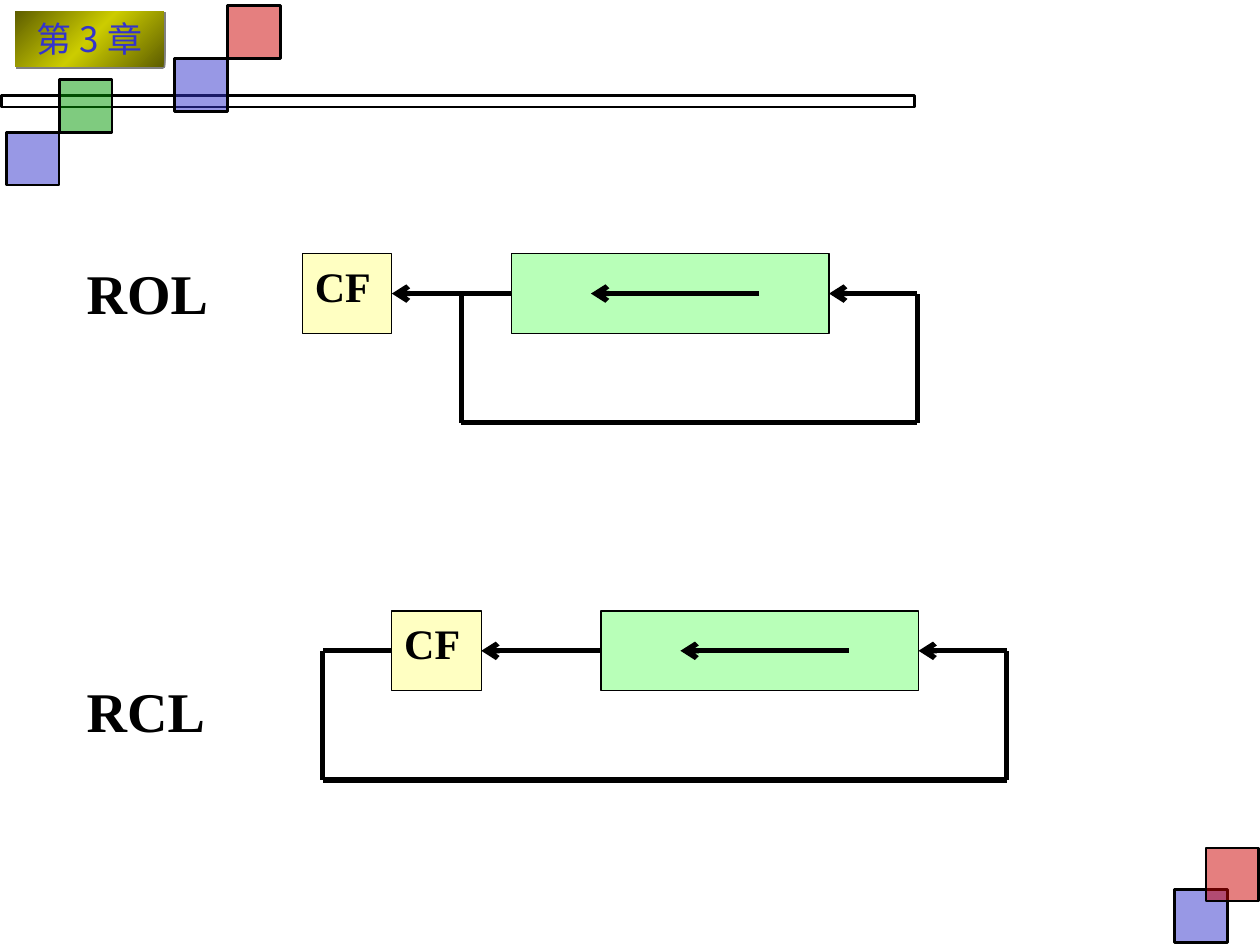
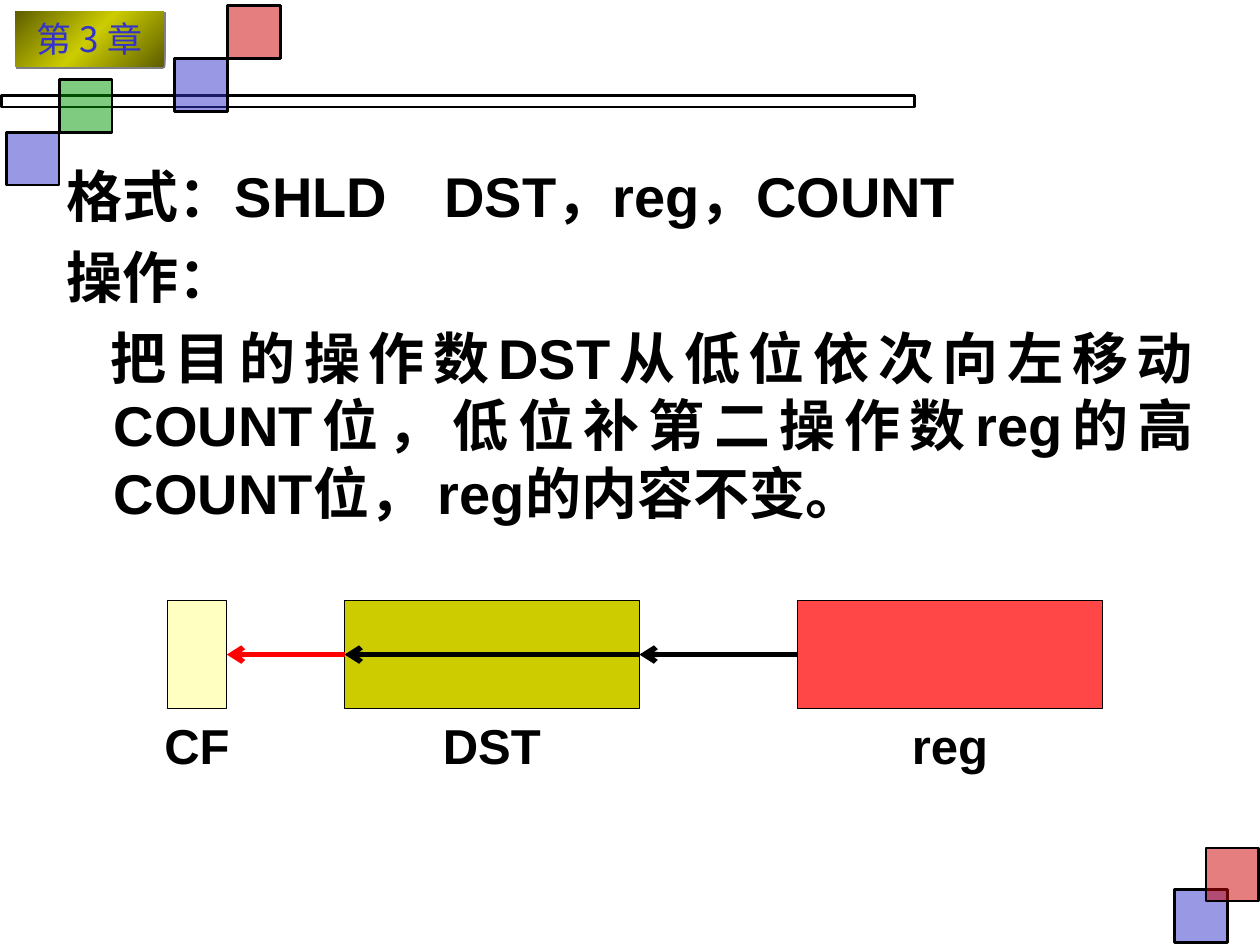
from copy import deepcopy
from dataclasses import dataclass
from typing import NamedTuple, Optional, Union

from lxml.etree import SubElement
from pptx import Presentation
from pptx.dml.color import RGBColor
from pptx.enum.shapes import MSO_CONNECTOR, MSO_SHAPE
from pptx.enum.text import MSO_ANCHOR, PP_ALIGN
from pptx.oxml.ns import qn
from pptx.shapes.autoshape import Shape
from pptx.slide import Slide
from pptx.util import Inches, Pt

COLUMNS, ROWS = 100, 75
SLIDE_WIDTH, SLIDE_HEIGHT = Inches(10), Inches(7.5)
LEFT_SIDE, RIGHT_SIDE = 1, 3


@dataclass(frozen=True)
class Theme:
    """Colours, fonts and sizes used across the deck."""

    ink: str = "000000"
    blue: str = "3333CC"
    red: str = "CC0000"
    green: str = "009900"
    gold: str = "CCCC00"
    dark_gold: str = "5E5E00"
    shadow: str = "808080"
    flag: str = "FFFFC2"
    rotated: str = "B8FFB8"
    source: str = "FF4747"
    carry: str = "FF0000"
    serif: str = "Times New Roman"
    sans: str = "Arial"
    chinese: str = "Noto Sans CJK JP"
    badge_size: int = 20
    flag_size: int = 24
    label_size: int = 28
    text_size: int = 32
    thin: float = 0.75
    frame: float = 1.5
    wire: float = 3


THEME = Theme()


class Area(NamedTuple):
    """A rectangle in grid columns and rows."""

    left: float
    top: float
    width: float
    height: float


class Spot(NamedTuple):
    """A point in grid columns and rows."""

    column: float
    row: float


class Joint(NamedTuple):
    """The middle of one side of a box."""

    box: Shape
    side: int


@dataclass(frozen=True)
class TextStyle:
    """Type settings of a paragraph."""

    font: str
    size: int
    color: str = THEME.ink
    bold: bool = True
    align: PP_ALIGN = PP_ALIGN.LEFT


@dataclass(frozen=True)
class Square:
    """A translucent corner square."""

    column: float
    row: float
    color: str


@dataclass(frozen=True)
class Rotation:
    """A rotate instruction and the place of its diagram."""

    name: str
    name_row: float
    flag_column: float
    row: float
    loop_column: float


@dataclass(frozen=True)
class Register:
    """A labelled register box."""

    name: str
    column: float
    width: float
    color: str


SQUARE_SIZE = 4.2
SQUARES = (
    Square(93.2, 70.6, THEME.blue),
    Square(95.7, 67.3, THEME.red),
    Square(13.85, 4.65, THEME.blue),
    Square(0.5, 10.5, THEME.blue),
    Square(4.7, 6.3, THEME.green),
    Square(18.05, 0.45, THEME.red),
)
ROTATIONS = (
    Rotation("ROL", 20, 24, 20.15, 36.6),
    Rotation("RCL", 53.2, 31.1, 48.5, 25.6),
)
REGISTERS = (
    Register("CF", 13.3, 4.7, THEME.flag),
    Register("DST", 27.35, 23.4, THEME.gold),
    Register("reg", 63.3, 24.2, THEME.source),
)
BADGE_STYLE = TextStyle(THEME.chinese, THEME.badge_size, THEME.blue, False, PP_ALIGN.CENTER)
FLAG_STYLE = TextStyle(THEME.serif, THEME.flag_size)
NAME_STYLE = TextStyle(THEME.serif, THEME.text_size)
LABEL_STYLE = TextStyle(THEME.sans, THEME.label_size)
BODY_STYLE = TextStyle(THEME.sans, THEME.text_size, align=PP_ALIGN.JUSTIFY)


def across(columns: float) -> int:
    """Turn grid columns into a length."""
    return round(SLIDE_WIDTH * columns / COLUMNS)


def down(rows: float) -> int:
    """Turn grid rows into a length."""
    return round(SLIDE_HEIGHT * rows / ROWS)


def place(area: Area) -> tuple[int, int, int, int]:
    """Turn a grid area into left, top, width and height."""
    return across(area.left), down(area.top), across(area.width), down(area.height)


def style_paragraph(para, style: TextStyle, tabs: tuple = ()) -> None:
    """Apply tab stops and type settings to a paragraph."""
    para.alignment = style.align
    properties = para._p.get_or_add_pPr()
    if tabs:
        stops = SubElement(properties, qn("a:tabLst"))
        for column, kind in tabs:
            SubElement(stops, qn("a:tab"), pos=str(across(column)), algn=kind)
    font = para.font
    font.size = Pt(style.size)
    font.bold = style.bold
    font.color.rgb = RGBColor.from_string(style.color)
    font.name = style.font
    SubElement(properties.find(qn("a:defRPr")), qn("a:ea"), typeface=THEME.chinese)


def write(box: Shape, text: str, style: TextStyle, tabs: tuple = ()) -> None:
    """Put one styled paragraph at the top of a box."""
    frame = box.text_frame
    frame.word_wrap = True
    frame.vertical_anchor = MSO_ANCHOR.TOP
    frame.text = text
    style_paragraph(frame.paragraphs[0], style, tabs)


def add_text(page: Slide, area: Area, text: str, style: TextStyle, tabs: tuple = ()) -> None:
    """Add a text box with one paragraph."""
    write(page.shapes.add_textbox(*place(area)), text, style, tabs)


def add_box(page: Slide, area: Area, color: Optional[str] = None,
            outline: float = THEME.thin, alpha: int = 100) -> Shape:
    """Add an outlined rectangle, filled when a colour is given."""
    box = page.shapes.add_shape(MSO_SHAPE.RECTANGLE, *place(area))
    box.shadow.inherit = False
    box.line.color.rgb = RGBColor.from_string(THEME.ink)
    box.line.width = Pt(outline)
    if color is None:
        box.fill.background()
        return box
    box.fill.solid()
    box.fill.fore_color.rgb = RGBColor.from_string(color)
    if alpha < 100:
        tint = box._element.spPr.find(qn("a:solidFill"))[0]
        SubElement(tint, qn("a:alpha"), val=str(alpha * 1000))
    return box


def add_wire(page: Slide, start: Union[Spot, Joint], end: Union[Spot, Joint],
             color: str = THEME.ink, arrow: bool = False) -> None:
    """Draw a straight wire between two spots or box sides."""
    ends = [(across(point.column), down(point.row)) if isinstance(point, Spot) else (0, 0)
            for point in (start, end)]
    wire = page.shapes.add_connector(MSO_CONNECTOR.STRAIGHT, *ends[0], *ends[1])
    for point, connect in ((start, wire.begin_connect), (end, wire.end_connect)):
        if isinstance(point, Joint):
            connect(point.box, point.side)
    wire.line.color.rgb = RGBColor.from_string(color)
    wire.line.width = Pt(THEME.wire)
    properties = wire._element.spPr
    if arrow:
        SubElement(properties.find(qn("a:ln")), qn("a:tailEnd"), type="arrow")
    SubElement(properties, qn("a:effectLst"))


def add_badge(page: Slide) -> None:
    """Add the chapter badge with its gradient and shadow."""
    badge = add_box(page, Area(1.2, 0.9, 11.8, 4.4))
    badge.line.fill.background()
    badge.fill.gradient()
    badge.fill.gradient_angle = 315
    for stop, color, position in zip(badge.fill.gradient_stops,
                                     (THEME.dark_gold, THEME.gold), (0, 0.5)):
        stop.color.rgb = RGBColor.from_string(color)
        stop.position = position
    properties = badge._element.spPr
    stops = properties.find(qn("a:gradFill")).find(qn("a:gsLst"))
    last = deepcopy(stops[0])
    last.set("pos", "100000")
    stops.append(last)
    shadow = SubElement(properties.find(qn("a:effectLst")), qn("a:outerShdw"),
                        dist=str(Pt(1.4)), dir="2700000", algn="ctr", rotWithShape="0")
    SubElement(shadow, qn("a:srgbClr"), val=THEME.shadow)
    write(badge, "第 3 章", BADGE_STYLE)


def add_page(deck) -> Slide:
    """Add a blank page with the shared decoration."""
    page = deck.slides.add_slide(deck.slide_layouts[6])
    add_box(page, Area(0.1, 7.6, 72.5, 0.9), outline=THEME.frame)
    for square in SQUARES:
        add_box(page, Area(square.column, square.row, SQUARE_SIZE, SQUARE_SIZE),
                square.color, THEME.frame, 50)
    add_badge(page)
    return page


def add_rotation(page: Slide, rotation: Rotation) -> None:
    """Draw a rotate instruction with its carry flag and loop."""
    left, top = rotation.flag_column, rotation.row
    register_left = left + 16.6
    middle, bottom, loop_right = top + 3.15, top + 13.4, left + 48.8
    register = add_box(page, Area(register_left, top, 25.2, 6.3), THEME.rotated)
    flag = add_box(page, Area(left, top, 7.1, 6.3), THEME.flag)
    write(flag, "CF", FLAG_STYLE)
    add_wire(page, Joint(register, LEFT_SIDE), Joint(flag, RIGHT_SIDE), arrow=True)
    corners = [Spot(rotation.loop_column, middle), Spot(rotation.loop_column, bottom),
               Spot(loop_right, bottom), Spot(loop_right, middle)]
    if rotation.loop_column < left:
        add_wire(page, Joint(flag, LEFT_SIDE), corners[0])
    for start, end in zip(corners, corners[1:]):
        add_wire(page, start, end)
    add_wire(page, corners[-1], Joint(register, RIGHT_SIDE), arrow=True)
    add_wire(page, Spot(register_left + 19.65, middle),
             Spot(register_left + 6.3, middle), arrow=True)
    add_text(page, Area(5.9, rotation.name_row, 15.7, 6.4), rotation.name, NAME_STYLE)


def add_body(page: Slide) -> None:
    """Write the format and operation of the double shift."""
    lines = (
        ("格式：SHLD\tDST，reg，COUNT", 0, 0, ((30.2, "l"),)),
        ("操作：", 0, 0, ()),
        ("把目的操作数DST从低位依次向左移动COUNT位，低位补第二操作数reg的高COUNT位， reg的内容不变。",
         3.75, -0.3, ()),
    )
    frame = page.shapes.add_textbox(*place(Area(4.3, 12.3, 91.4, 59.8))).text_frame
    frame.word_wrap = True
    for index, (text, margin, indent, tabs) in enumerate(lines):
        para = frame.add_paragraph() if index else frame.paragraphs[0]
        para.text = text
        para.space_before = Pt(8 if index else 0)
        properties = para._p.get_or_add_pPr()
        properties.set("marL", str(across(margin)))
        properties.set("indent", str(across(indent)))
        style_paragraph(para, BODY_STYLE, tabs)


def add_shift(page: Slide) -> None:
    """Draw the double shift from register to carry flag."""
    flag, target, source = (
        add_box(page, Area(register.column, 47.65, register.width, 8.6), register.color)
        for register in REGISTERS)
    label_area = Area(10.9, 56.3, 76.6, 5.7)
    tabs = tuple((register.column + register.width / 2 - label_area.left - 1, "ctr")
                 for register in REGISTERS)
    names = "".join(f"\t{register.name}" for register in REGISTERS)
    add_text(page, label_area, names, LABEL_STYLE, tabs)
    for start, end, color in (
        (Joint(target, RIGHT_SIDE), Joint(target, LEFT_SIDE), THEME.ink),
        (Joint(source, LEFT_SIDE), Joint(target, RIGHT_SIDE), THEME.ink),
        (Joint(target, LEFT_SIDE), Joint(flag, RIGHT_SIDE), THEME.carry),
    ):
        add_wire(page, start, end, color, True)


def main() -> None:
    """Build and save the deck."""
    deck = Presentation()
    deck.slide_width, deck.slide_height = SLIDE_WIDTH, SLIDE_HEIGHT
    rotate_page = add_page(deck)
    for rotation in reversed(ROTATIONS):
        add_rotation(rotate_page, rotation)
    shift_page = add_page(deck)
    add_body(shift_page)
    add_shift(shift_page)
    deck.save("out.pptx")


if __name__ == "__main__":
    main()
